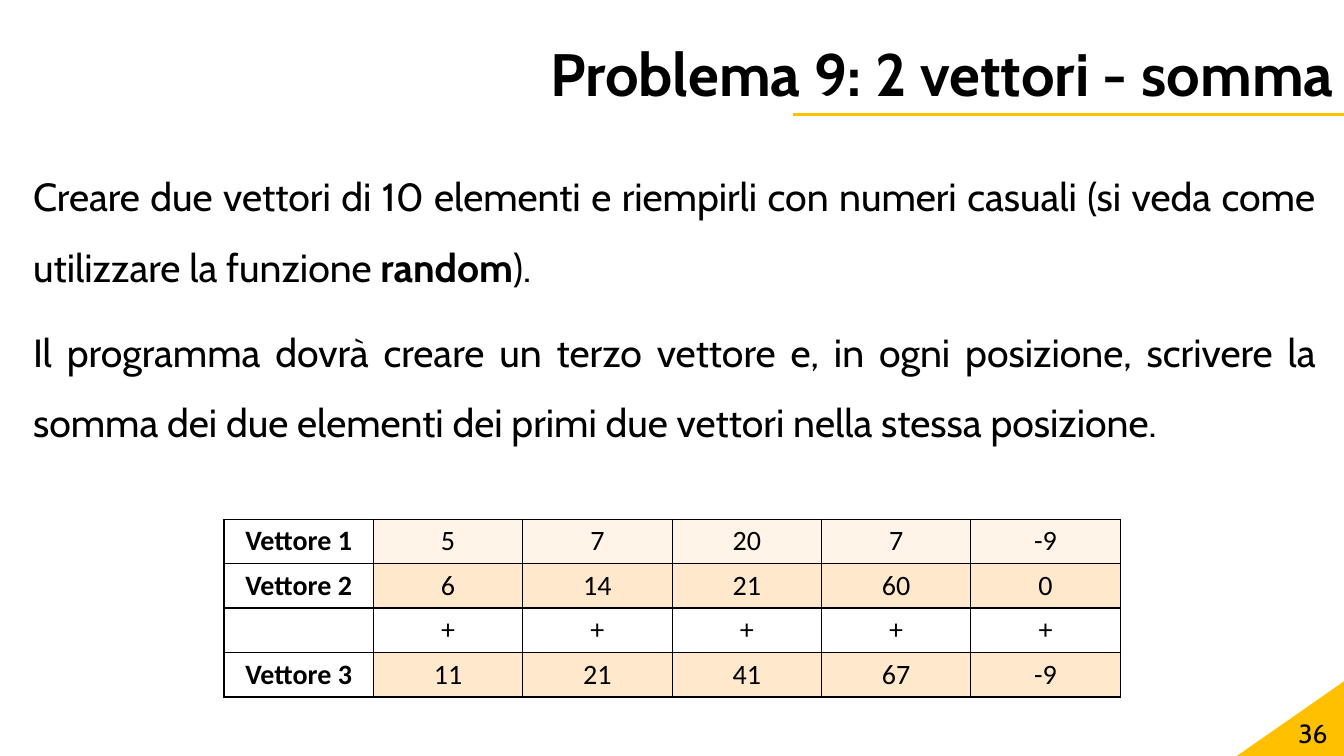
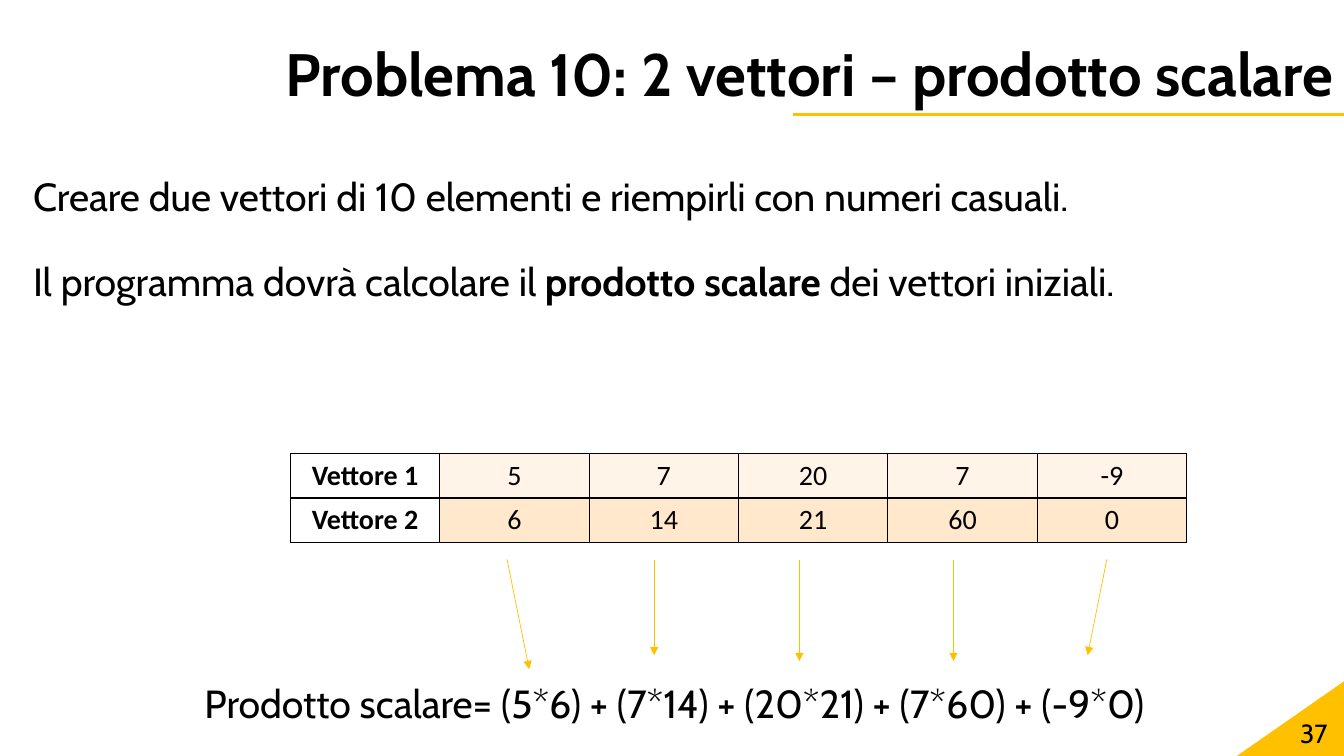
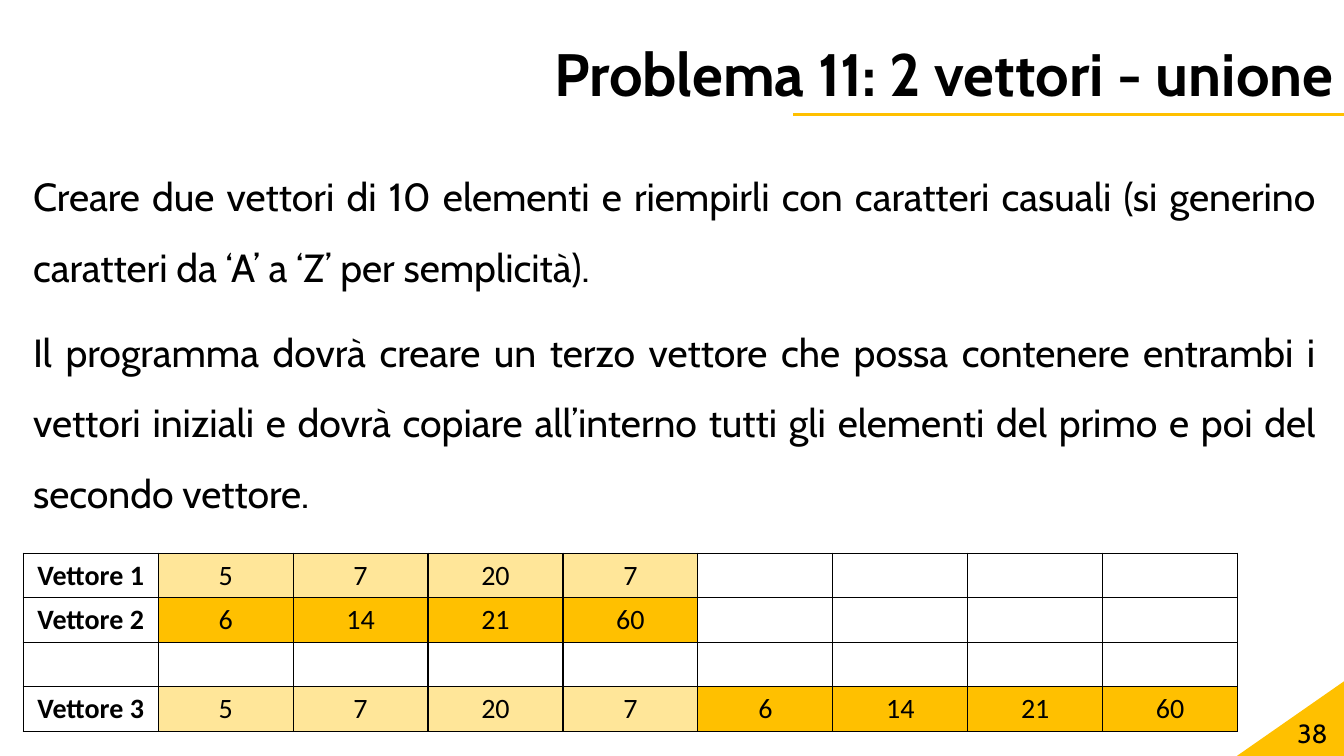
from lxml.etree import SubElement
from pptx import Presentation
from pptx.dml.color import RGBColor
from pptx.enum.shapes import MSO_CONNECTOR, MSO_SHAPE
from pptx.enum.text import MSO_ANCHOR, PP_ALIGN
from pptx.oxml.ns import qn
from pptx.util import Pt

COLORS = {
    "black": "000000",
    "gold": "FFC000",
    "yellow": "FFE699",
    "cream": "FFF4E7",
    "peach": "FFE8CC",
}
TITLE = {
    "font": {"name": "Cabin", "size": Pt(42.7), "bold": True},
    "paragraph": {"alignment": PP_ALIGN.RIGHT, "line_spacing": 0.9},
    "frame": {"word_wrap": True, "vertical_anchor": MSO_ANCHOR.MIDDLE},
}
BODY = {
    "font": {"name": "Cabin", "size": Pt(28)},
    "paragraph": {"alignment": PP_ALIGN.JUSTIFY, "line_spacing": 1.5, "space_before": Pt(10)},
    "frame": {"word_wrap": True, "vertical_anchor": MSO_ANCHOR.TOP},
}
FORMULA = BODY | {"paragraph": BODY["paragraph"] | {"alignment": PP_ALIGN.CENTER}}
NUMBER = {
    "font": {"name": "Cabin", "size": Pt(18.7)},
    "paragraph": {"alignment": PP_ALIGN.RIGHT},
    "frame": TITLE["frame"],
}
CELL = {
    "font": {"name": "Calibri", "size": Pt(20)},
    "paragraph": {"alignment": PP_ALIGN.CENTER},
    "frame": {},
}
LABEL = CELL | {"font": CELL["font"] | {"bold": True}}
ROW_HEIGHT = 31.8
BODY_BOX = (16.6, 103, 930, 435)

# Odd pieces of a body paragraph are bold; a table row is a label and (fill, values) groups.
FIRST_ROW = ("Vettore 1", [("cream", ["5", "7", "20", "7", "-9"])])
SECOND_ROW = ("Vettore 2", [("peach", ["6", "14", "21", "60", "0"])])
FIRST_HALF = ("yellow", ["5", "7", "20", "7"])
SECOND_HALF = ("gold", ["6", "14", "21", "60"])
PROBLEMS = [
    {
        "title": "Problema 9: 2 vettori - somma",
        "body": [
            ("Creare due vettori di 10 elementi e riempirli con numeri casuali "
             "(si veda come utilizzare la funzione ", "random", ")."),
            ("Il programma dovrà creare un terzo vettore e, in ogni posizione, scrivere la "
             "somma dei due elementi dei primi due vettori nella stessa posizione.",),
        ],
        "table": (160, 370.8, 106.7, 6),
        "rows": [
            FIRST_ROW,
            SECOND_ROW,
            ("", [(None, ["+"] * 5)]),
            ("Vettore 3", [("peach", ["11", "21", "41", "67", "-9"])]),
        ],
    },
    {
        "title": "Problema 10: 2 vettori – prodotto scalare",
        "body": [
            ("Creare due vettori di 10 elementi e riempirli con numeri casuali.",),
            ("Il programma dovrà calcolare il ", "prodotto scalare ", "dei vettori iniziali."),
        ],
        "table": (207.4, 324, 106.7, 6),
        "rows": [FIRST_ROW, SECOND_ROW],
        "formula": "Prodotto scalare= (5*6) + (7*14) + (20*21) + (7*60) + (-9*0)",
        "arrows": [
            (362.2, 399.6, 378, 478),
            (467.3, 400.3, 467.3, 468),
            (571, 400.3, 571, 472.3),
            (681.1, 400.3, 681.1, 472.3),
            (790.6, 399.6, 776.9, 468),
        ],
    },
    {
        "title": "Problema 11: 2 vettori - unione",
        "body": [
            ("Creare due vettori di 10 elementi e riempirli con caratteri casuali "
             "(si generino caratteri da ‘A’ a ‘Z’ per semplicità).",),
            ("Il programma dovrà creare un terzo vettore che possa contenere entrambi i vettori "
             "iniziali e dovrà copiare all’interno tutti gli elementi del primo e poi del "
             "secondo vettore.",),
        ],
        "table": (16.6, 395.2, 96.4, 9),
        "rows": [
            ("Vettore 1", [FIRST_HALF]),
            ("Vettore 2", [SECOND_HALF]),
            ("", []),
            ("Vettore 3", [FIRST_HALF, SECOND_HALF]),
        ],
    },
]


def write(frame, paragraphs, style):
    """Fill a text frame with paragraphs of pieces, every second piece bold."""
    for name, value in style["frame"].items():
        setattr(frame, name, value)
    for index, pieces in enumerate(paragraphs):
        paragraph = frame.add_paragraph() if index else frame.paragraphs[0]
        for name, value in style["paragraph"].items():
            setattr(paragraph, name, value)
        for position, piece in enumerate(pieces):
            run = paragraph.add_run()
            run.text = piece
            run.font.color.rgb = RGBColor.from_string(COLORS["black"])
            for name, value in ({"bold": position % 2 == 1} | style["font"]).items():
                setattr(run.font, name, value)


def draw_line(slide, ends, width, arrow=False):
    """Draw a gold line between two points, with an arrowhead on request."""
    line = slide.shapes.add_connector(MSO_CONNECTOR.STRAIGHT, *map(Pt, ends))
    line.line.color.rgb = RGBColor.from_string(COLORS["gold"])
    line.line.width = Pt(width)
    properties = line._element.spPr
    if arrow:
        SubElement(properties.find(qn("a:ln")), qn("a:tailEnd"), type="triangle")
    SubElement(properties, qn("a:effectLst"))


presentation = Presentation()
presentation.slide_width = Pt(960)
presentation.slide_height = Pt(540)

for number, problem in enumerate(PROBLEMS, start=36):
    slide = presentation.slides.add_slide(presentation.slide_layouts[6])

    corner = slide.shapes.add_shape(
        MSO_SHAPE.RIGHT_TRIANGLE, Pt(883.5), Pt(486.7), Pt(76.5), Pt(53.3))
    corner._element.spPr.xfrm.set("flipH", "1")
    corner.shadow.inherit = False
    corner.fill.solid()
    corner.fill.fore_color.rgb = RGBColor.from_string(COLORS["gold"])
    corner.line.fill.background()
    draw_line(slide, (566.6, 82, 960, 82), 2.25)

    texts = [
        ((0, 28.8, 960, 53.3), [(problem["title"],)], TITLE),
        (BODY_BOX, problem["body"], BODY),
        ((739.4, 509, 216, 28.8), [(str(number),)], NUMBER),
    ]
    if "formula" in problem:
        texts.append(((16.6, 465, 930, 70), [(problem["formula"],)], FORMULA))
    for box, paragraphs, style in texts:
        text_box = slide.shapes.add_textbox(*map(Pt, box))
        write(text_box.text_frame, paragraphs, style)

    left, top, column_width, column_count = problem["table"]
    rows = problem["rows"]
    table = slide.shapes.add_table(
        len(rows), column_count, Pt(left), Pt(top),
        Pt(column_width * column_count), Pt(ROW_HEIGHT * len(rows))).table
    table.first_row = table.horz_banding = False
    table_properties = table._tbl.tblPr
    table_properties.remove(table_properties.find(qn("a:tableStyleId")))
    for column in table.columns:
        column.width = Pt(column_width)
    for row_index, (label, groups) in enumerate(rows):
        table.rows[row_index].height = Pt(ROW_HEIGHT)
        contents = [(None, label)] + [(fill, value) for fill, values in groups for value in values]
        contents += [(None, "")] * (column_count - len(contents))
        for column_index, (fill, value) in enumerate(contents):
            cell = table.cell(row_index, column_index)
            cell.vertical_anchor = MSO_ANCHOR.MIDDLE
            if value:
                write(cell.text_frame, [(value,)], CELL if column_index else LABEL)
            if fill is None:
                cell.fill.background()
                continue
            properties = cell._tc.get_or_add_tcPr()
            for side in ("a:lnL", "a:lnR", "a:lnT", "a:lnB"):
                border = SubElement(properties, qn(side), w=str(int(Pt(1))))
                solid = SubElement(border, qn("a:solidFill"))
                SubElement(solid, qn("a:srgbClr"), val=COLORS["black"])
            cell.fill.solid()
            cell.fill.fore_color.rgb = RGBColor.from_string(COLORS[fill])

    for ends in problem.get("arrows", []):
        draw_line(slide, ends, 0.5, arrow=True)

presentation.save("out.pptx")
